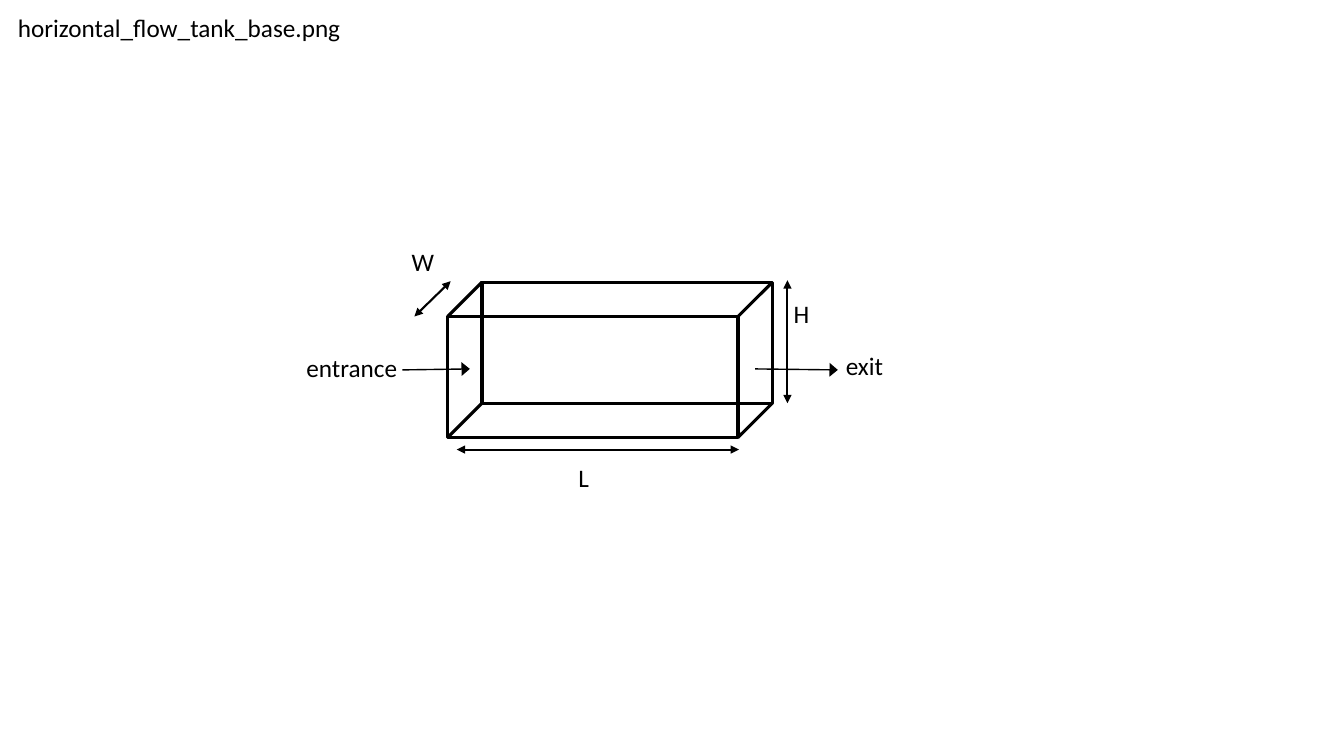
import pptx
import pptx.util
import pptx.dml.color
import pptx.enum.shapes
import pptx.enum.text
import pptx.oxml.ns
import lxml.etree

Inches, Pt = pptx.util.Inches, pptx.util.Pt
ANCHOR, ALIGN = pptx.enum.text.MSO_ANCHOR, pptx.enum.text.PP_ALIGN

THEME = {
    "ink": pptx.dml.color.RGBColor(0, 0, 0),
    "font": "Calibri", "text": 18,
    "edge": 2.25, "dimension": 1.5, "flow": 1,
}

# Content: tank faces share one size; the back face is shifted by the depth
FRONT_LEFT, FRONT_TOP = 4.44, 3.14
LENGTH, HEIGHT, DEPTH = 2.88, 1.2, 0.34

# Text, left, top, width, height, centred
LABELS = [
    ("horizontal_flow_tank_base.png", 0.08, 0.07, 3.44, 0.4, False),
    ("W", 3.91, 2.31, 0.57, 0.57, True),
    ("H", 7.71, 2.82, 0.48, 0.57, True),
    ("L", 5.57, 4.45, 0.44, 0.57, True),
    ("entrance", 2.94, 3.45, 1.53, 0.57, False),
    ("exit", 8.29, 3.43, 0.79, 0.57, False),
]

# Start point, end point
DIMENSIONS = [
    ((4.53, 4.46), (7.33, 4.46)),
    ((7.81, 2.78), (7.81, 4.0)),
    ((4.47, 2.79), (4.11, 3.14)),
]
FLOWS = [
    ((3.99, 3.67), (4.66, 3.66)),
    ((7.49, 3.66), (8.31, 3.67)),
]

presentation = pptx.Presentation()
presentation.slide_width, presentation.slide_height = Inches(13.33), Inches(7.5)
slide = presentation.slides.add_slide(presentation.slide_layouts[6])


def style_line(line, weight):
    line.color.rgb = THEME["ink"]
    line.width = Pt(THEME[weight])


def add_face(left, top):
    shape = slide.shapes.add_shape(
        pptx.enum.shapes.MSO_SHAPE.RECTANGLE,
        Inches(left), Inches(top), Inches(LENGTH), Inches(HEIGHT))
    shape.shadow.inherit = False
    shape.fill.background()
    style_line(shape.line, "edge")


def add_line(start, end, weight, heads=(), head_width="med"):
    connector = slide.shapes.add_connector(
        pptx.enum.shapes.MSO_CONNECTOR.STRAIGHT,
        *(Inches(value) for value in start + end))
    style_line(connector.line, weight)
    properties = connector._element.spPr
    outline = properties.find(pptx.oxml.ns.qn("a:ln"))
    for head in heads:
        lxml.etree.SubElement(outline, pptx.oxml.ns.qn("a:" + head),
                              type="triangle", w=head_width, len="med")
    lxml.etree.SubElement(properties, pptx.oxml.ns.qn("a:effectLst"))


def add_label(text, left, top, width, height, centred):
    box = slide.shapes.add_textbox(
        Inches(left), Inches(top), Inches(width), Inches(height))
    frame = box.text_frame
    frame.word_wrap = False
    frame.auto_size = pptx.enum.text.MSO_AUTO_SIZE.SHAPE_TO_FIT_TEXT
    frame.vertical_anchor = ANCHOR.MIDDLE if centred else ANCHOR.TOP
    paragraph = frame.paragraphs[0]
    paragraph.alignment = ALIGN.CENTER if centred else ALIGN.LEFT
    run = paragraph.add_run()
    run.text = text
    run.font.name = THEME["font"]
    run.font.size = Pt(THEME["text"])
    run.font.color.rgb = THEME["ink"]


# Tank: back face, front face and the four edges between them
add_face(FRONT_LEFT + DEPTH, FRONT_TOP - DEPTH)
add_face(FRONT_LEFT, FRONT_TOP)
for x in (FRONT_LEFT, FRONT_LEFT + LENGTH):
    for y in (FRONT_TOP, FRONT_TOP + HEIGHT):
        add_line((x, y), (x + DEPTH, y - DEPTH), "edge")

# Dimension and flow arrows
for start, end in DIMENSIONS:
    add_line(start, end, "dimension", ("headEnd", "tailEnd"))
for start, end in FLOWS:
    add_line(start, end, "flow", ("tailEnd",), "lg")

# Labels
for label in LABELS:
    add_label(*label)

presentation.save("out.pptx")
